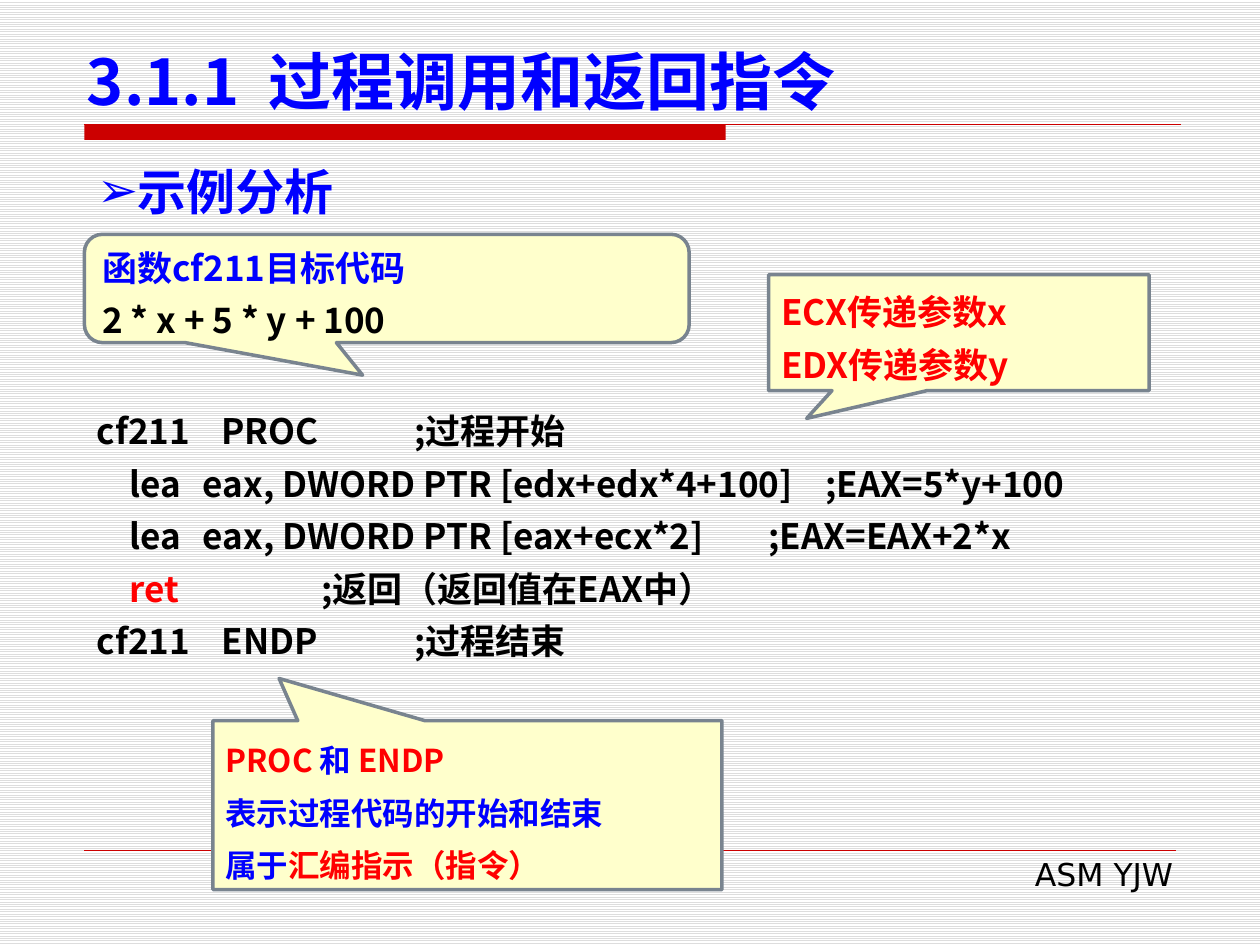
"""Build the slide on procedure call and return instructions."""
from dataclasses import dataclass

from lxml import etree
from pptx import Presentation
from pptx import util as u
from pptx.dml.color import RGBColor
from pptx.enum import dml, shapes, text
from pptx.oxml.ns import qn


@dataclass(frozen=True)
class Theme:
    blue: str = "0000FF"
    red: str = "FF0000"
    black: str = "000000"
    rule: str = "CC0000"
    cream: str = "FFFFCC"
    edge: str = "79848F"
    stripe: str = "DDDDDD"
    white: str = "FFFFFF"
    sans: str = "DejaVu Sans"
    han: str = "Noto Sans CJK SC"
    head: int = 36
    lead: int = 28
    code: int = 20
    small: int = 18
    pitch: int = 30


T = Theme()
SHAPE = shapes.MSO_SHAPE
ALIGN = text.PP_ALIGN
ANCHOR = text.MSO_ANCHOR


def rgb(tone):
    return RGBColor.from_string(tone)


def write(frame, lines, size, tone=T.black, font=T.han, bold=True, align=None,
          pitch=None, mark=None, tabs=None, anchor=ANCHOR.TOP):
    """Fill a frame; a line is a string or a list of (text, colour) runs."""
    frame.word_wrap = True
    frame.auto_size = text.MSO_AUTO_SIZE.NONE
    frame.vertical_anchor = anchor
    for i, line in enumerate(lines):
        para = frame.add_paragraph() if i else frame.paragraphs[0]
        para.space_before = u.Pt(0)
        if align is not None:
            para.alignment = align
        if pitch:
            para.line_spacing = u.Pt(pitch)
        props = para._p.get_or_add_pPr()
        if mark:
            props.set("marL", "0")
            props.set("indent", "0")
            etree.SubElement(props, qn("a:buChar"), char=mark)
        if tabs:
            stops = etree.SubElement(props, qn("a:tabLst"))
            for stop in tabs[i]:
                etree.SubElement(stops, qn("a:tab"), pos=str(u.Inches(stop)), algn="l")
        for words, shade in [(line, tone)] if isinstance(line, str) else line:
            run = para.add_run()
            run.text = words
            run.font.size = u.Pt(size)
            run.font.bold = bold
            run.font.name = font
            run.font.color.rgb = rgb(shade)
            etree.SubElement(run._r.get_or_add_rPr(), qn("a:ea"), typeface=T.han)


class Page:
    """Hold the theme and the current slide, and add elements to it."""

    def __init__(self, deck, theme):
        self.theme = theme
        self.slide = deck.slides.add_slide(deck.slide_layouts[1])
        fill = self.slide.background.fill
        fill.patterned()
        fill.pattern = dml.MSO_PATTERN.LIGHT_HORIZONTAL
        fill.fore_color.rgb = rgb(theme.stripe)
        fill.back_color.rgb = rgb(theme.white)

    def holder(self, index, box, lines, size, **look):
        item = self.slide.placeholders[index]
        item.left, item.top, item.width, item.height = map(u.Inches, box)
        write(item.text_frame, lines, size, **look)

    def label(self, box, lines, size, **look):
        item = self.slide.shapes.add_textbox(*map(u.Inches, box))
        write(item.text_frame, lines, size, **look)

    def rule(self, start, end, width):
        line = self.slide.shapes.add_connector(
            shapes.MSO_CONNECTOR.STRAIGHT, *map(u.Inches, start + end))
        line.line.color.rgb = rgb(self.theme.rule)
        line.line.width = u.Pt(width)
        etree.SubElement(line._element.spPr, qn("a:effectLst"))

    def shape(self, kind, box, fill):
        item = self.slide.shapes.add_shape(kind, *map(u.Inches, box))
        item.shadow.inherit = False
        item.fill.solid()
        item.fill.fore_color.rgb = rgb(fill)
        item.line.fill.background()
        return item

    def callout(self, kind, box, tip, lines, size, **look):
        item = self.shape(kind, box, self.theme.cream)
        item.line.color.rgb = rgb(self.theme.edge)
        item.line.width = u.Pt(2)
        item.adjustments[0], item.adjustments[1] = tip
        write(item.text_frame, lines, size, align=ALIGN.LEFT,
              pitch=self.theme.pitch, anchor=ANCHOR.MIDDLE, **look)


def main():
    deck = Presentation()
    deck.slide_width, deck.slide_height = u.Inches(10), u.Inches(7.5)
    page = Page(deck, T)

    page.shape(SHAPE.RECTANGLE, (0.67, 0.99, 5.09, 0.12), T.rule)
    page.rule((0.67, 0.99), (9.37, 0.99), 0.75)
    page.rule((0.67, 6.75), (9.33, 6.75), 0.25)
    page.label((3.82, 6.74, 5.59, 0.4), ["ASM YJW"], T.small,
               font=T.sans, bold=False, align=ALIGN.RIGHT)

    page.holder(0, (0.59, 0.28, 9.06, 0.71), ["3.1.1  过程调用和返回指令"], T.head,
                tone=T.blue, align=ALIGN.LEFT, anchor=ANCHOR.BOTTOM)
    page.holder(1, (0.67, 1.23, 8.66, 0.57), ["示例分析"], T.lead,
                tone=T.blue, font=T.sans, align=ALIGN.JUSTIFY, mark="➢")

    outer = (0.99, 2.52)
    page.label((0.67, 3.12, 9.33, 2.2), [
        "cf211\tPROC\t;过程开始",
        "\tlea\teax, DWORD PTR [edx+edx*4+100]\t;EAX=5*y+100",
        "\tlea\teax, DWORD PTR [eax+ecx*2]\t;EAX=EAX+2*x",
        [("\tret", T.red), ("\t;返回（返回值在EAX中）", T.black)],
        "cf211\tENDP\t;过程结束",
    ], T.code, pitch=T.pitch,
        tabs=[outer, (0.26, 0.84, 5.78), (0.26, 0.84, 5.33), (0.26, 1.78), outer])

    page.callout(SHAPE.RECTANGULAR_CALLOUT, (1.69, 5.72, 4.04, 1.34), (-0.37, -0.75), [
        [("PROC ", T.red), ("和 ", T.blue), ("ENDP", T.red)],
        "表示过程代码的开始和结束",
        [("属于", T.blue), ("汇编指示（指令）", T.red)],
    ], T.small, tone=T.blue)
    page.callout(SHAPE.ROUNDED_RECTANGULAR_CALLOUT, (0.67, 1.86, 4.8, 0.86), (-0.04, 0.8), [
        [("函数cf211目标代码", T.blue)],
        "2 * x + 5 * y + 100",
    ], T.code)
    page.callout(SHAPE.RECTANGULAR_CALLOUT, (6.1, 2.18, 3.02, 0.92), (-0.4, 0.74),
                 ["ECX传递参数x", "EDX传递参数y"], T.code, tone=T.red)

    deck.save("out.pptx")


if __name__ == "__main__":
    main()
